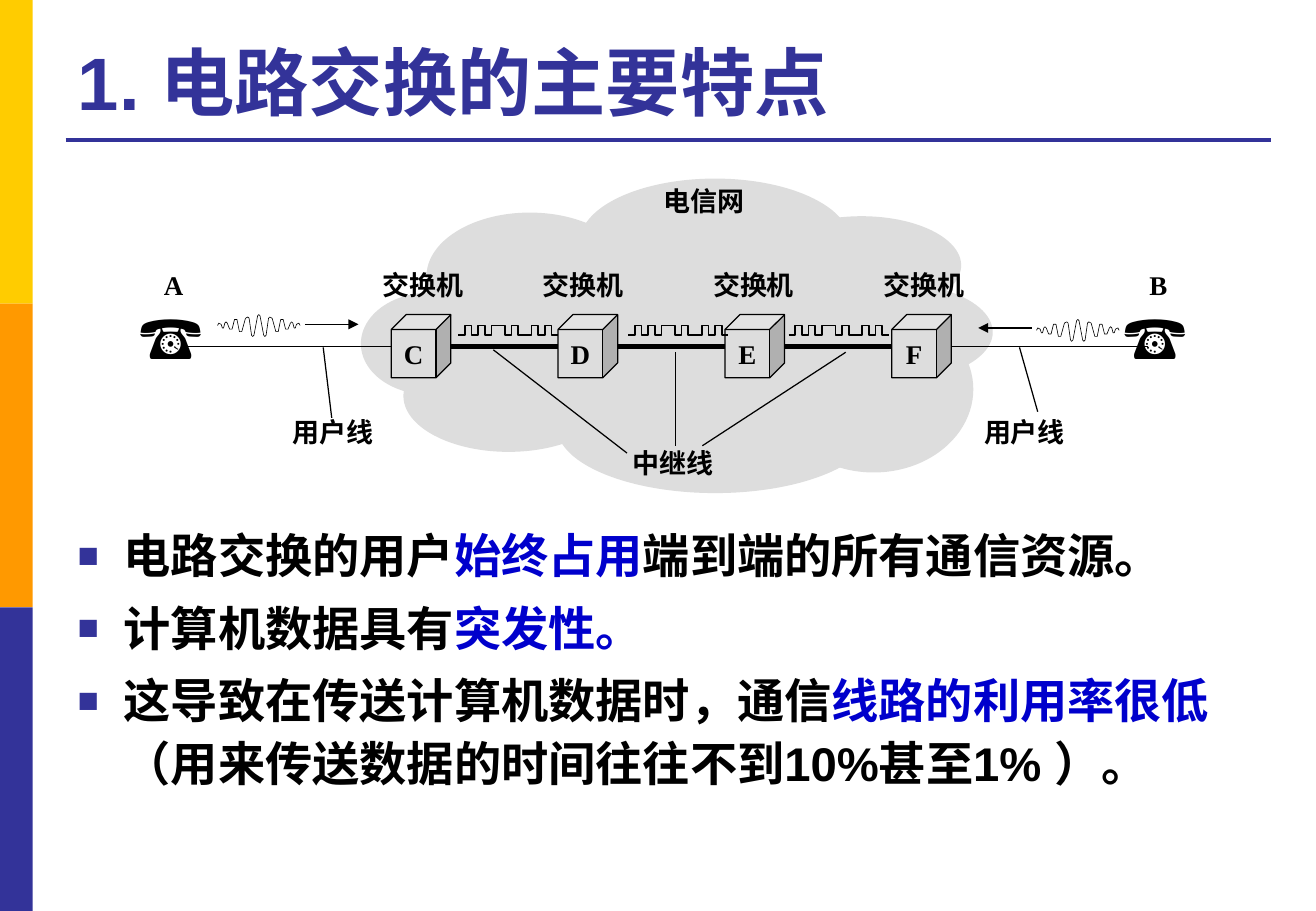
from lxml import etree
from pptx import Presentation
from pptx.dml.color import RGBColor
from pptx.enum.shapes import MSO_CONNECTOR, MSO_SHAPE
from pptx.enum.text import MSO_ANCHOR, MSO_AUTO_SIZE, PP_ALIGN
from pptx.oxml.ns import qn
from pptx.util import Inches, Pt

STRAIGHT = MSO_CONNECTOR.STRAIGHT
RECTANGLE, ELLIPSE, CUBE = MSO_SHAPE.RECTANGLE, MSO_SHAPE.OVAL, MSO_SHAPE.CUBE
LEFT, CENTER, JUSTIFY = PP_ALIGN.LEFT, PP_ALIGN.CENTER, PP_ALIGN.JUSTIFY
BOTTOM, MIDDLE = MSO_ANCHOR.BOTTOM, MSO_ANCHOR.MIDDLE
FIXED_SIZE, GROW = MSO_AUTO_SIZE.NONE, MSO_AUTO_SIZE.SHAPE_TO_FIT_TEXT

YELLOW = RGBColor(0xFF, 0xCC, 0x00)
ORANGE = RGBColor(0xFF, 0x99, 0x00)
INDIGO = RGBColor(0x33, 0x33, 0x99)
BLUE = RGBColor(0x00, 0x00, 0xCC)
GRAY = RGBColor(0xDD, 0xDD, 0xDD)
BLACK = RGBColor(0x00, 0x00, 0x00)
SANS, SERIF = "Arial", "Times New Roman"

# The slide is a grid of square cells, ten to the inch.
COLUMNS, ROWS = 108.3, 75
MARGIN, CONTENT_WIDTH = 5.4, 99.1
LINE_ROW = 28.5
SWITCH_LEFT, SWITCH_STEP = 32.2, 13.73

CLOUD = [
    (47.7, 14.7, 22.3, 10.5), (35.1, 17.5, 17, 10.5), (29.7, 24.1, 11.3, 8.4),
    (33.2, 28, 17.3, 9.2), (45.8, 29.6, 26.1, 11), (62.7, 17.8, 16.4, 8.1),
    (65.3, 23.3, 16.4, 8.1), (63.7, 25.2, 16.4, 13.7), (39.2, 21, 33.7, 13.7),
]
LABELS = [
    ("A", 12.5, 21.6, 3.6), ("B", 93.6, 21.6, 3.5), ("电信网", 53.6, 14.7, 8.8),
    ("交换机", 30.5, 21.6, 8.8), ("交换机", 43.7, 21.6, 8.8),
    ("交换机", 57.7, 21.6, 8.8), ("交换机", 71.7, 21.6, 8.8),
    ("中继线", 51.1, 36.3, 8.8), ("用户线", 23.1, 33.7, 8.8),
    ("用户线", 80, 33.7, 8.8),
]
POINTERS = [
    (40.6, 28.8, 51.6, 37.3), (55.6, 29, 55.6, 36.7), (69.6, 29, 57.8, 36.7),
    (26.6, 28.6, 27.3, 34.4), (83.9, 28.6, 85.4, 33.9),
]
VOICE_WIDTH = 6.8
VOICE_HALF = [
    (0, 0.9), (0.1, 0.7), (0.3, 0.8), (0.4, 1.1), (0.5, 1.1), (0.6, 0.7),
    (0.7, 0.6), (0.8, 0.7), (1, 1.2), (1.2, 1.2), (1.4, 0.4), (1.6, 0.4),
    (1.8, 1.4), (2, 1.4), (2.3, 0.3), (2.5, 0.2), (2.6, 0.3), (2.8, 1.7),
    (2.9, 1.8), (3, 1.7), (3.3, 0.1), (3.4, 0),
]
PULSE_UNIT, PULSE_LOW, PULSE_HIGH = 0.55, 27.6, 26.8
PULSE_EDGES = [1, 2, 3, 4, 5, 7, 8, 9, 11, 12, 13, 14]
BULLETS = [
    [("电路交换的用户", BLACK), ("始终占用", BLUE), ("端到端的所有通信资源。", BLACK)],
    [("计算机数据具有", BLACK), ("突发性。", BLUE)],
    [("这导致在传送计算机数据时，通信", BLACK), ("线路的利用率很低", BLUE),
     ("（用来传送数据的时间往往不到10%甚至1% ）。", BLACK)],
]


def cells(*counts):
    return [Inches(count / 10) for count in counts]


def style_font(font, name, size, color):
    font.name, font.size, font.bold = name, Pt(size), True
    font.color.rgb = color


def add_filled(slide, kind, box, color):
    shape = slide.shapes.add_shape(kind, *cells(*box))
    shape.shadow.inherit = False
    shape.fill.solid()
    shape.fill.fore_color.rgb = color
    shape.line.fill.background()
    return shape


def add_line(slide, ends, width=0.75, color=BLACK, arrow=False):
    line = slide.shapes.add_connector(STRAIGHT, *cells(*ends))
    line.line.width = Pt(width)
    line.line.color.rgb = color
    properties = line._element.spPr
    etree.SubElement(properties, qn("a:effectLst"))
    if arrow:
        outline = properties.find(qn("a:ln"))
        etree.SubElement(outline, qn("a:tailEnd"), type="triangle")


def add_text(slide, text, box, size=16, wrap=False, alignment=LEFT):
    frame = slide.shapes.add_textbox(*cells(*box)).text_frame
    frame.word_wrap, frame.auto_size = wrap, GROW
    paragraph = frame.paragraphs[0]
    paragraph.text, paragraph.alignment = text, alignment
    style_font(paragraph.font, SERIF, size, BLACK)


def add_signal(slide, points, width):
    """Draw an open, unfilled outline through the given grid points."""
    start, *rest = [tuple(cells(*point)) for point in points]
    builder = slide.shapes.build_freeform(*start)
    builder.add_line_segments(rest, close=False)
    shape = builder.convert_to_shape()
    shape.shadow.inherit = False
    shape.fill.background()
    shape.line.color.rgb = BLACK
    shape.line.width = Pt(width)


def add_voice(slide, left, top):
    mirrored = [(VOICE_WIDTH - x, y) for x, y in reversed(VOICE_HALF[:-1])]
    points = [(left + x, top + y) for x, y in VOICE_HALF + mirrored]
    add_signal(slide, points, 0.38)


def add_pulses(slide, left):
    points, level, other = [(left, PULSE_LOW)], PULSE_LOW, PULSE_HIGH
    for edge in PULSE_EDGES:
        x = left + edge * PULSE_UNIT
        points += [(x, level), (x, other)]
        level, other = other, level
    points.append((left + 15 * PULSE_UNIT, level))
    add_signal(slide, points, 1)


def add_switch(slide, name, left):
    shape = add_filled(slide, CUBE, (left, 25.9, 4.9, 5.2), GRAY)
    shape.line.color.rgb = BLACK
    shape.line.width = Pt(0.75)
    frame = shape.text_frame
    frame.word_wrap, frame.vertical_anchor = False, MIDDLE
    paragraph = frame.paragraphs[0]
    paragraph.text, paragraph.alignment = name, CENTER
    style_font(paragraph.font, SERIF, 16, BLACK)


def set_title(slide, text):
    title = slide.shapes.title
    title.left, title.top, title.width, title.height = cells(
        MARGIN, 2.1, CONTENT_WIDTH, 8.7)
    frame = title.text_frame
    frame.auto_size, frame.vertical_anchor = FIXED_SIZE, BOTTOM
    paragraph = frame.paragraphs[0]
    paragraph.text, paragraph.alignment = text, LEFT
    style_font(paragraph.font, SANS, 44, INDIGO)


def add_square_bullet(paragraph):
    properties = paragraph._p.get_or_add_pPr()
    indent = Inches(0.38)
    properties.set("marL", str(indent))
    properties.set("indent", str(-indent))
    color = etree.SubElement(properties, qn("a:buClr"))
    etree.SubElement(color, qn("a:srgbClr"), val=str(INDIGO))
    etree.SubElement(properties, qn("a:buSzPct"), val="75000")
    etree.SubElement(properties, qn("a:buFont"), typeface=SANS)
    etree.SubElement(properties, qn("a:buChar"), char="■")


def add_bullets(slide):
    box = slide.shapes.add_textbox(*cells(MARGIN, 42.4, CONTENT_WIDTH, 24.2))
    frame = box.text_frame
    frame.word_wrap = True
    for index, parts in enumerate(BULLETS):
        paragraph = frame.add_paragraph() if index else frame.paragraphs[0]
        add_square_bullet(paragraph)
        paragraph.line_spacing = 1.1
        paragraph.space_before = Pt(6 if index else 0)
        style_font(paragraph.font, SANS, 28, BLACK)
        for text, color in parts:
            run = paragraph.add_run()
            run.text = text
            run.font.color.rgb = color


def add_network(slide):
    for box in CLOUD:
        add_filled(slide, ELLIPSE, box, GRAY)
    add_line(slide, (34.7, LINE_ROW, 75, LINE_ROW), 3)
    for left in (10.5, 91.5):
        add_text(slide, "☎", (left, 24.1, 8, 7.1), 36, True, JUSTIFY)
    for start, end in ((15.4, 33), (75.9, 94.5)):
        add_line(slide, (start, LINE_ROW, end, LINE_ROW))
    for index, name in enumerate("CDEF"):
        add_switch(slide, name, SWITCH_LEFT + index * SWITCH_STEP)
    for text, left, top, width in LABELS:
        add_text(slide, text, (left, top, width, 3.7))
    for ends in POINTERS:
        add_line(slide, ends)
    add_voice(slide, 17.9, 25.9)
    add_line(slide, (25.1, 26.7, 29.5, 26.7), arrow=True)
    add_voice(slide, 85.3, 26.3)
    add_line(slide, (84.9, 27, 80.5, 27), arrow=True)
    for left in (37.7, 51.7, 64.9):
        add_pulses(slide, left)


def main():
    presentation = Presentation()
    presentation.slide_width, presentation.slide_height = cells(COLUMNS, ROWS)
    slide = presentation.slides.add_slide(presentation.slide_layouts[5])
    band = ROWS / 3
    for index, color in enumerate((YELLOW, ORANGE, INDIGO)):
        add_filled(slide, RECTANGLE, (0, index * band, 2.7, band), color)
    add_line(slide, (MARGIN, 11.5, 104.6, 11.5), 2.25, INDIGO)
    set_title(slide, "1. 电路交换的主要特点")
    add_network(slide)
    add_bullets(slide)
    presentation.save("out.pptx")


if __name__ == "__main__":
    main()
